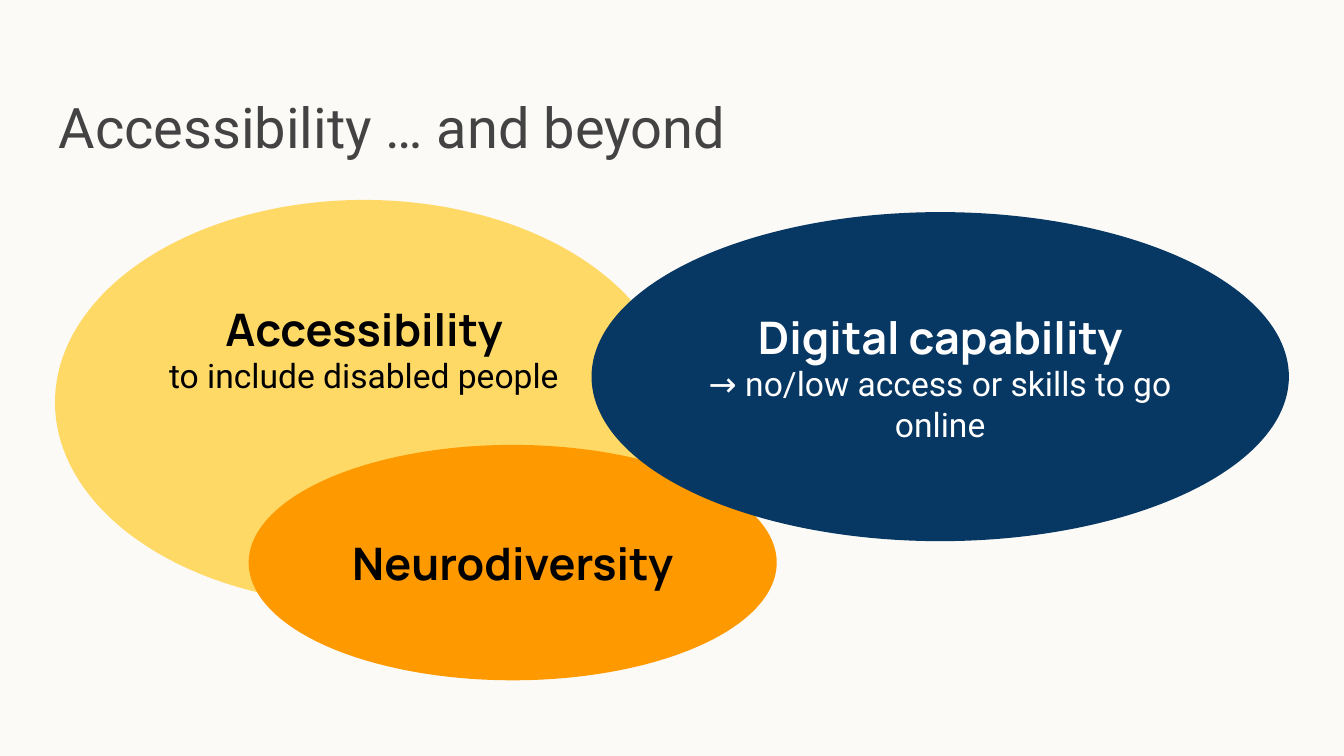
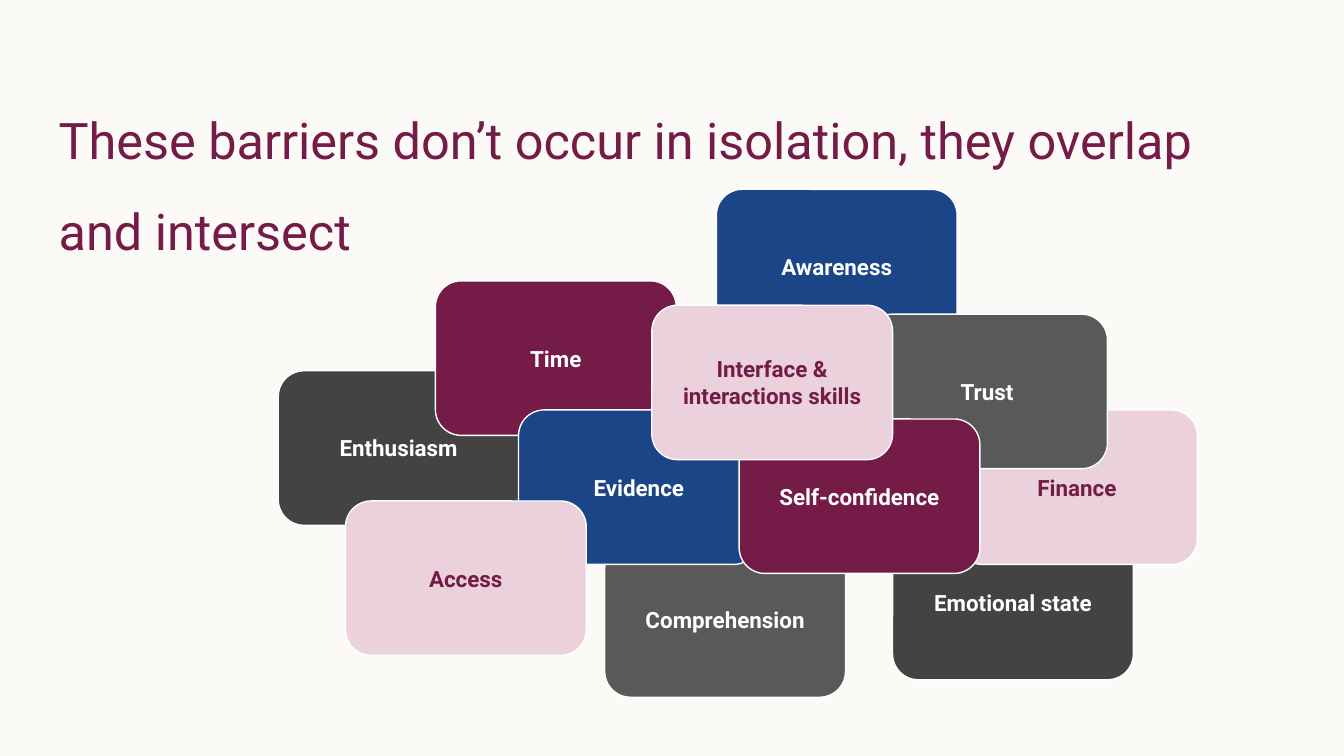
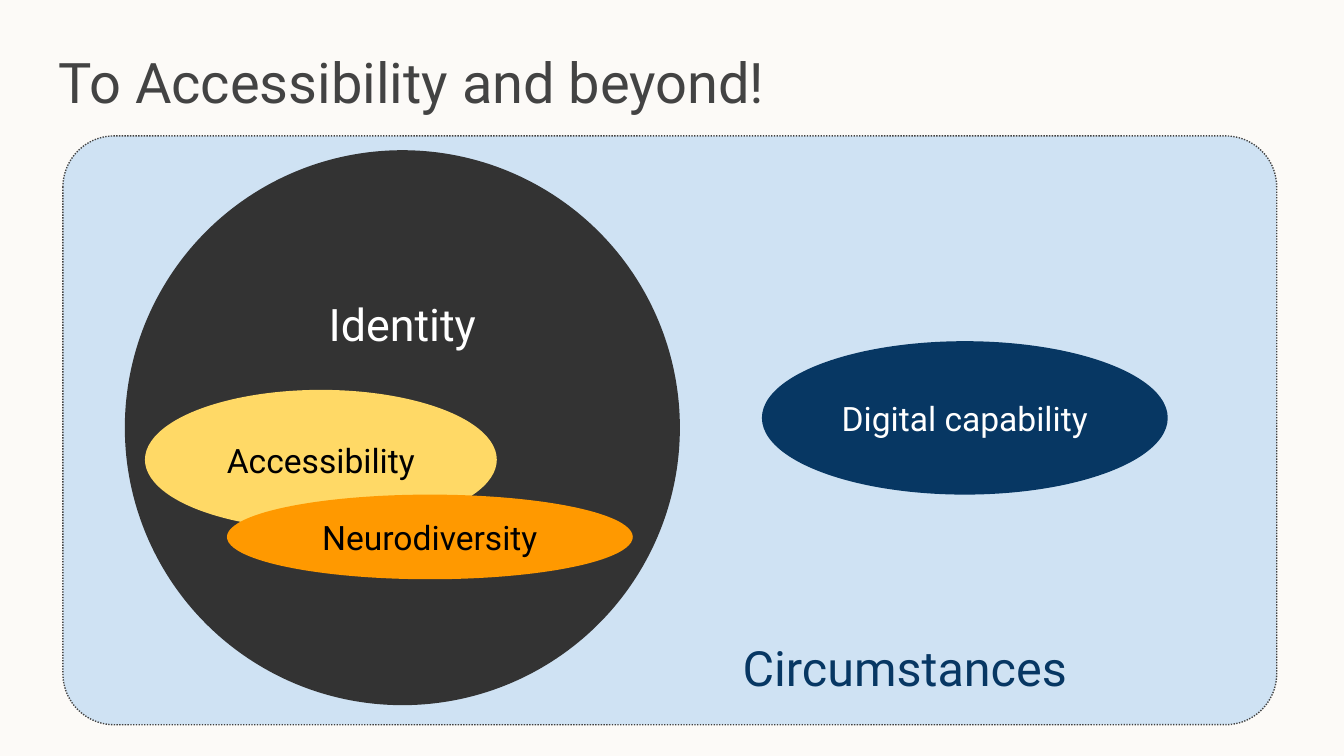
import pptx
import pptx.dml.color
import pptx.enum.dml
import pptx.enum.shapes
import pptx.enum.text
import pptx.util

Cm = pptx.util.Cm
Pt = pptx.util.Pt
RGBColor = pptx.dml.color.RGBColor
SHAPE = pptx.enum.shapes.MSO_SHAPE
ANCHOR = pptx.enum.text.MSO_ANCHOR
ALIGN = pptx.enum.text.PP_ALIGN
DASH = pptx.enum.dml.MSO_LINE

CREAM = RGBColor(0xFC, 0xFA, 0xF7)
WHITE = RGBColor(0xFF, 0xFF, 0xFF)
BLACK = RGBColor(0x00, 0x00, 0x00)
CHARCOAL = RGBColor(0x33, 0x33, 0x33)
DARK_GREY = RGBColor(0x43, 0x43, 0x43)
GREY = RGBColor(0x59, 0x59, 0x59)
YELLOW = RGBColor(0xFF, 0xD9, 0x66)
ORANGE = RGBColor(0xFF, 0x99, 0x00)
NAVY = RGBColor(0x07, 0x37, 0x63)
BLUE = RGBColor(0x1C, 0x45, 0x87)
PALE_BLUE = RGBColor(0xCF, 0xE2, 0xF3)
PLUM = RGBColor(0x74, 0x1B, 0x47)
PINK = RGBColor(0xEA, 0xD1, 0xDC)

HEADING_FONT = "Manrope"
BODY_FONT = "Roboto"
INSET = 0.25
CARD_SIZE = (4.55, 2.92)

TOPICS = [
    ((1.04, 3.78, 11.68, 7.65), YELLOW, BLACK, "Accessibility",
     "to include disabled people", 2.28),
    ((4.7, 8.41, 9.98, 4.45), ORANGE, BLACK, "Neurodiversity", None, INSET),
    ((11.18, 4.01, 13.18, 6.22), NAVY, WHITE, "Digital capability",
     "→ no/low access or skills to go online", INSET),
]

BARRIERS = [
    ("Emotional state", 16.87, 9.93, DARK_GREY),
    ("Awareness", 13.54, 3.58, BLUE),
    ("Enthusiasm", 5.26, 7.01, DARK_GREY),
    ("Finance", 18.08, 7.75, PINK),
    ("Comprehension", 11.43, 10.26, GREY),
    ("Time", 8.23, 5.31, PLUM),
    ("Trust", 16.38, 5.94, GREY),
    ("Evidence", 9.8, 7.75, BLUE),
    ("Access", 6.53, 9.47, PINK),
    ("Self-confidence", 13.97, 7.92, PLUM),
    ("Interface & interactions skills", 12.32, 5.77, PINK),
]

PANEL = ((1.19, 2.57, 22.94, 11.13), "Circumstances")
IDENTITY = ((2.36, 2.84, 10.49, 10.49), "Identity")
GROUPS = [
    ((2.74, 7.37, 6.65, 2.64), YELLOW, BLACK, "Accessibility"),
    ((4.29, 9.35, 7.67, 1.6), ORANGE, BLACK, "Neurodiversity"),
    ((14.4, 6.45, 7.67, 2.9), NAVY, WHITE, "Digital capability"),
]


def write(sp, lines, color, align=ALIGN.CENTER, anchor=ANCHOR.MIDDLE,
          left=INSET, top=INSET, bottom=INSET):
    tf = sp.text_frame
    tf.word_wrap = True
    tf.vertical_anchor = anchor
    tf.margin_left, tf.margin_right = Cm(left), Cm(INSET)
    tf.margin_top, tf.margin_bottom = Cm(top), Cm(bottom)
    for i, (text, size, font, bold) in enumerate(lines):
        p = tf.add_paragraph() if i else tf.paragraphs[0]
        p.text = text
        p.alignment = align
        p.font.size = Pt(size)
        p.font.name = font
        p.font.bold = bold
        p.font.color.rgb = color


def add_title(s, text, color=DARK_GREY, size=30, spacing=1.0, top=1.24):
    sp = s.shapes.add_textbox(Cm(0.86), Cm(top), Cm(23.67), Cm(1.6))
    write(sp, [(text, size, BODY_FONT, False)], color, ALIGN.LEFT, ANCHOR.TOP)
    sp.text_frame.paragraphs[0].line_spacing = spacing


def add_filled(s, kind, box, fill, line=None):
    sp = s.shapes.add_shape(kind, *map(Cm, box))
    sp.shadow.inherit = False
    sp.fill.solid()
    sp.fill.fore_color.rgb = fill
    if line is None:
        sp.line.fill.background()
    else:
        sp.line.color.rgb = line
        sp.line.width = Pt(0.75)
    return sp


def build_topics(s):
    add_title(s, "Accessibility … and beyond", spacing=1.2)
    for box, fill, color, heading, detail, bottom in TOPICS:
        lines = [(heading, 24, HEADING_FONT, True)]
        if detail:
            lines.append((detail, 18, BODY_FONT, False))
        write(add_filled(s, SHAPE.OVAL, box, fill), lines, color, bottom=bottom)


def build_barriers(s):
    add_title(s, "These barriers don’t occur in isolation, they overlap and intersect",
              PLUM, 27, 1.5)
    for label, x, y, fill in BARRIERS:
        sp = add_filled(s, SHAPE.ROUNDED_RECTANGLE, (x, y, *CARD_SIZE), fill, WHITE)
        write(sp, [(label, 12, BODY_FONT, True)], PLUM if fill == PINK else WHITE)


def build_circumstances(s):
    add_title(s, "To Accessibility and beyond!", top=0.64)
    box, label = PANEL
    sp = add_filled(s, SHAPE.ROUNDED_RECTANGLE, box, PALE_BLUE, DARK_GREY)
    sp.adjustments[0] = 0.087
    sp.line.dash_style = DASH.ROUND_DOT
    write(sp, [(label, 26, BODY_FONT, False)], NAVY, anchor=ANCHOR.BOTTOM, left=9.14)
    box, label = IDENTITY
    sp = add_filled(s, SHAPE.OVAL, box, CHARCOAL)
    write(sp, [(label, 24, BODY_FONT, False)], WHITE, anchor=ANCHOR.TOP, top=1.24)
    for box, fill, color, label in GROUPS:
        sp = add_filled(s, SHAPE.OVAL, box, fill)
        write(sp, [(label, 18, BODY_FONT, False)], color)


def main():
    prs = pptx.Presentation()
    prs.slide_width, prs.slide_height = Cm(25.4), Cm(14.29)
    background = prs.slide_master.background.fill
    background.solid()
    background.fore_color.rgb = CREAM
    for build in (build_topics, build_barriers, build_circumstances):
        build(prs.slides.add_slide(prs.slide_layouts[6]))
    prs.save("out.pptx")


if __name__ == "__main__":
    main()
